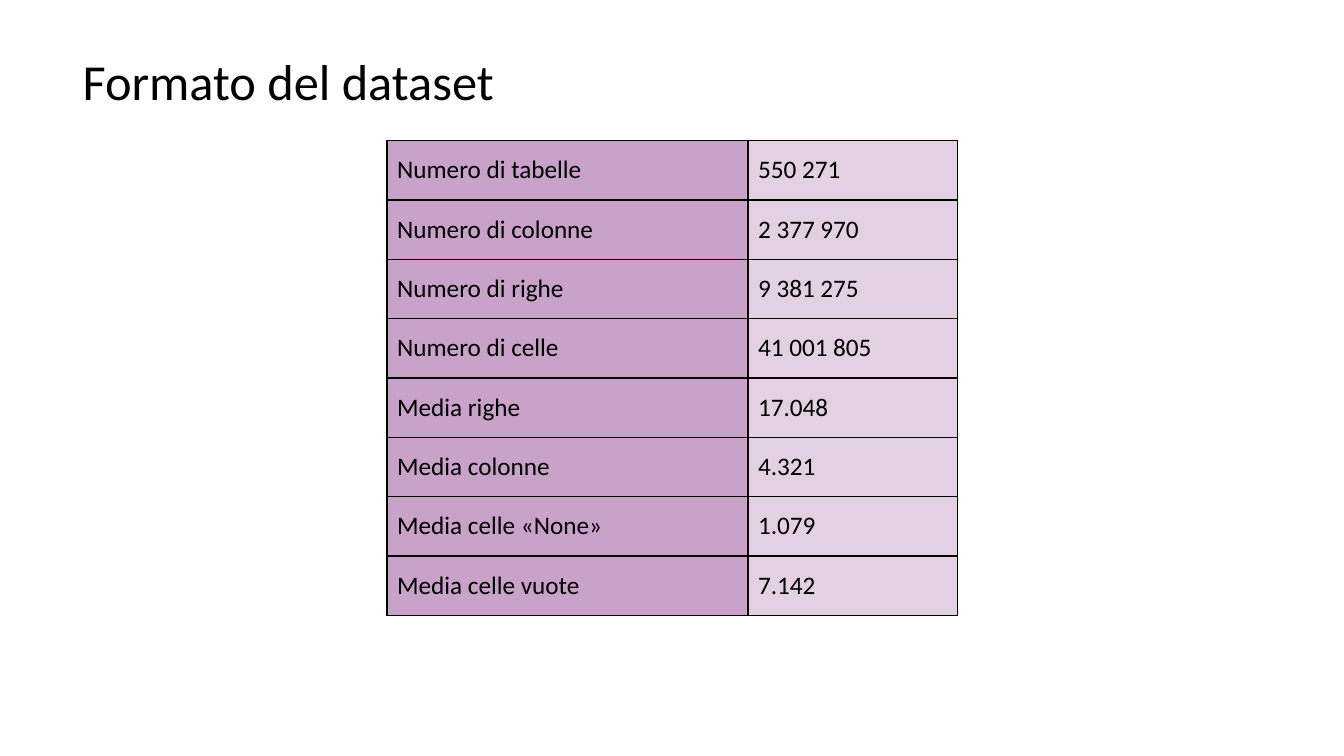
import dataclasses

import pptx
import pptx.dml.color
import pptx.enum.text
import pptx.oxml
import pptx.oxml.ns
import pptx.table
import pptx.text.text
import pptx.util

Pt = pptx.util.Pt
FONT = "Calibri"
BLACK = "000000"
LILAC = "C8A2C8"
TITLE_ONLY_LAYOUT = 5
ROW_HEIGHT = 42.4


@dataclasses.dataclass
class Column:
    width: float
    opacity: int


@dataclasses.dataclass
class Statistic:
    label: str
    value: str


COLUMNS = [Column(257.8, 100), Column(149.8, 50)]
STATISTICS = [
    Statistic("Numero di tabelle", "550 271"),
    Statistic("Numero di colonne", "2 377 970"),
    Statistic("Numero di righe", "9 381 275"),
    Statistic("Numero di celle", "41 001 805"),
    Statistic("Media righe", "17.048"),
    Statistic("Media colonne", "4.321"),
    Statistic("Media celle «None»", "1.079"),
    Statistic("Media celle vuote", "7.142"),
]


def color(value: str) -> pptx.dml.color.RGBColor:
    return pptx.dml.color.RGBColor.from_string(value)


def format_text(frame: pptx.text.text.TextFrame, size: float) -> None:
    for para in frame.paragraphs:
        para.alignment = pptx.enum.text.PP_ALIGN.LEFT
        for span in para.runs:
            span.font.name = FONT
            span.font.size = Pt(size)
            span.font.color.rgb = color(BLACK)


def add_borders(cell: pptx.table._Cell, width: float) -> None:
    properties = cell._tc.get_or_add_tcPr()
    for index, side in enumerate(("lnL", "lnR", "lnT", "lnB")):
        line = pptx.oxml.parse_xml(
            f'<a:{side} {pptx.oxml.ns.nsdecls("a")} w="{Pt(width)}">'
            f'<a:solidFill><a:srgbClr val="{BLACK}"/></a:solidFill></a:{side}>'
        )
        properties.insert(index, line)


def fill_cell(cell: pptx.table._Cell, opacity: int) -> None:
    cell.fill.solid()
    cell.fill.fore_color.rgb = color(LILAC)
    if opacity < 100:
        shade = cell._tc.tcPr.find(".//" + pptx.oxml.ns.qn("a:srgbClr"))
        alpha = pptx.oxml.parse_xml(
            f'<a:alpha {pptx.oxml.ns.nsdecls("a")} val="{opacity * 1000}"/>'
        )
        shade.append(alpha)


def draw_cell(cell: pptx.table._Cell, text: str, column: Column) -> None:
    cell.text_frame.text = text
    cell.vertical_anchor = pptx.enum.text.MSO_ANCHOR.MIDDLE
    format_text(cell.text_frame, 18)
    fill_cell(cell, column.opacity)
    add_borders(cell, 1)


def main() -> None:
    deck = pptx.Presentation()
    deck.slide_width, deck.slide_height = Pt(960), Pt(540)
    page = deck.slides.add_slide(deck.slide_layouts[TITLE_ONLY_LAYOUT])

    # Title
    title = page.shapes.title
    title.left, title.top = Pt(51.8), Pt(32.4)
    title.width, title.height = Pt(856.8), Pt(51)
    title.text_frame.text = "Formato del dataset"
    title.text_frame.vertical_anchor = pptx.enum.text.MSO_ANCHOR.TOP
    format_text(title.text_frame, 36)

    # Statistics table
    table = page.shapes.add_table(
        len(STATISTICS), len(COLUMNS), Pt(276.5), Pt(100.5),
        Pt(sum(column.width for column in COLUMNS)),
        Pt(ROW_HEIGHT * len(STATISTICS)),
    ).table
    table.first_row = table.horz_banding = False
    for index, column in enumerate(COLUMNS):
        table.columns[index].width = Pt(column.width)
    for row, statistic in enumerate(STATISTICS):
        table.rows[row].height = Pt(ROW_HEIGHT)
        for index, text in enumerate((statistic.label, statistic.value)):
            draw_cell(table.cell(row, index), text, COLUMNS[index])

    deck.save("out.pptx")


if __name__ == "__main__":
    main()
